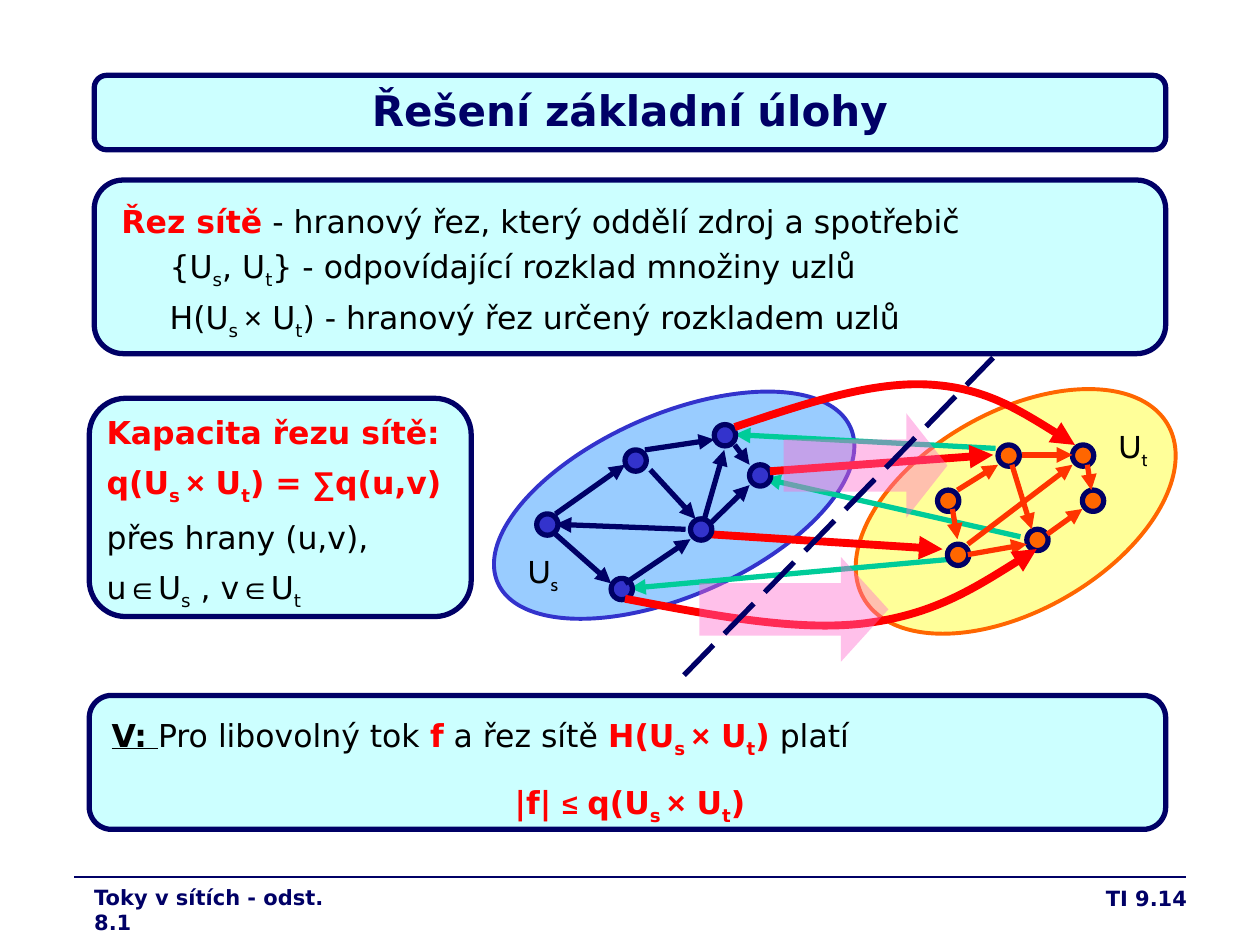
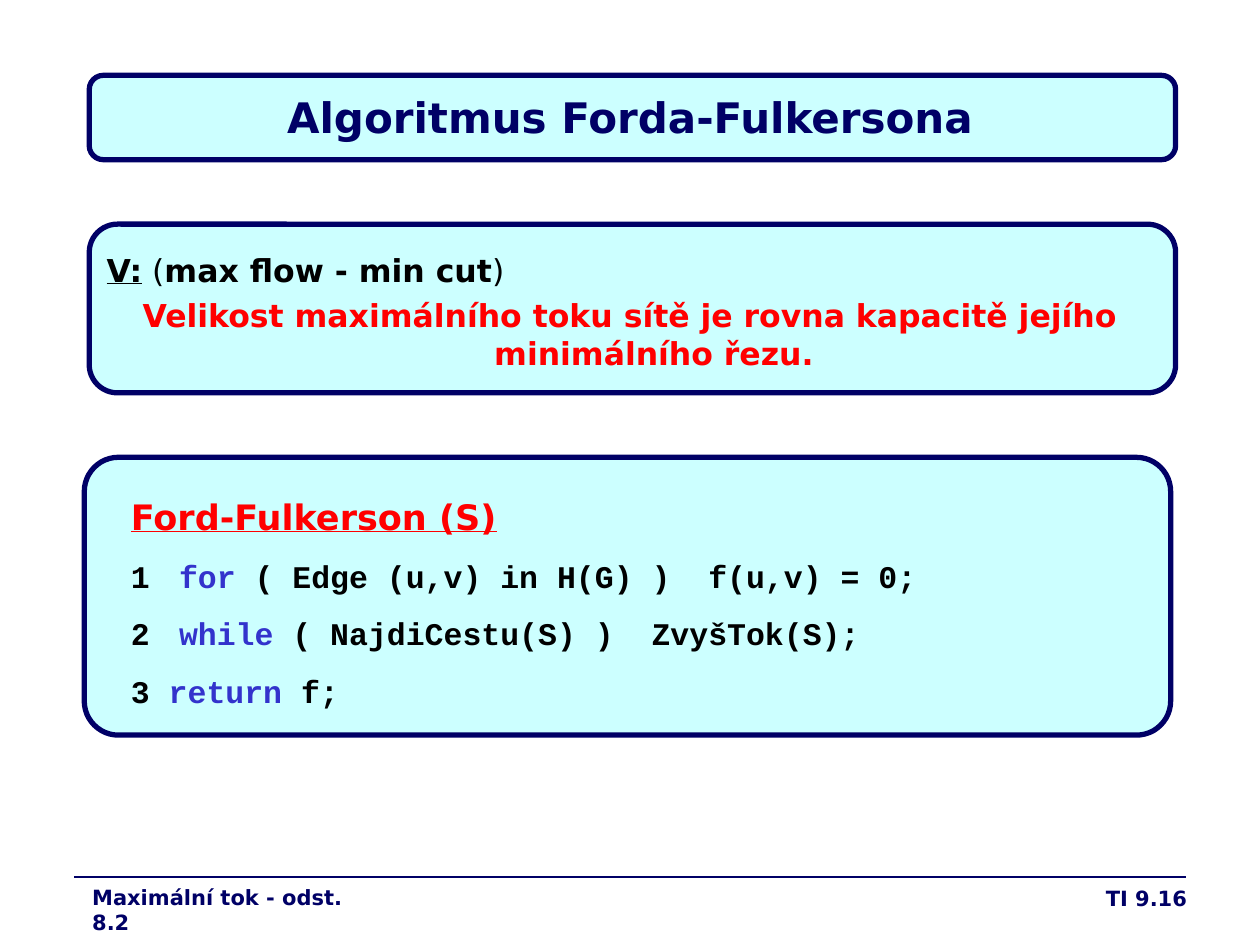
from itertools import groupby

from lxml.etree import SubElement
from pptx import Presentation
from pptx.dml.color import RGBColor
from pptx.enum.dml import MSO_LINE
from pptx.enum.shapes import MSO_CONNECTOR, MSO_SHAPE
from pptx.enum.text import MSO_ANCHOR, PP_ALIGN
from pptx.oxml.ns import qn
from pptx.util import Cm, Pt

# Shared look
NAVY, BLUE, SKY, AQUA = "000066", "3333CC", "99CCFF", "CCFFFF"
RED, ORANGE, VERMILION, YELLOW = "FF0000", "FF6600", "FF3300", "FFFF99"
GREEN, PINK, BLACK = "00CC99", "FF66CC", "000000"
FONT, CODE_FONT, LABEL_FONT, SYMBOL_FONT = "DejaVu Sans", "Courier New", "Cabin", "Arial"
SYMBOLS = "×∑∈≤"
HANG = 0.97
NODE_SIZE = 0.43

# Flow network, in centimetres: nodes by top left corner, edges by both ends
SOURCE_NODES = [(15.11, 9.37), (12.32, 11.66), (10.82, 10.36),
                (12.6, 9.07), (14.4, 8.56), (13.92, 10.46)]
SINK_NODES = [(19.1, 10.97), (20.7, 10.67), (18.9, 9.88),
              (21.82, 9.88), (20.12, 8.97), (21.62, 8.97)]
FORWARD_EDGES = [(14.3, 10.77, 19, 11.07), (15.52, 9.5, 20.02, 9.17)]
BACKWARD_EDGES = [(20.07, 9.04, 14.81, 8.76), (20.57, 10.82, 15.42, 9.65),
                  (19.1, 11.28, 12.7, 11.86)]
SOURCE_EDGES = [(11.2, 10.77, 12.32, 11.76), (13.82, 10.67, 11.2, 10.57),
                (11.2, 10.36, 12.6, 9.37), (13.11, 9.47, 14.02, 10.46),
                (13, 9.07, 14.4, 8.86), (14.2, 10.46, 14.6, 9.07),
                (12.6, 11.76, 13.92, 10.87), (14.3, 10.57, 15.11, 9.78),
                (14.81, 8.97, 15.11, 9.37)]
SINK_EDGES = [(19.2, 10.26, 19.3, 10.87), (19.3, 9.88, 20.12, 9.37),
              (20.4, 9.37, 20.8, 10.67), (19.51, 11.18, 20.7, 10.97),
              (20.6, 9.17, 21.62, 9.17), (21.11, 10.77, 21.82, 10.26),
              (21.92, 9.37, 22, 9.88), (19.51, 10.97, 21.62, 9.37)]
LOWER_CURVE = [(12.6, 12.07), (14.33, 12.4), (16.03, 12.73), (17.4, 12.57),
               (18.8, 12.4), (19.86, 11.73), (20.9, 11.07)]
UPPER_CURVE = [(14.81, 8.61), (16.18, 8.15), (17.53, 7.7), (18.67, 7.75),
               (19.81, 7.8), (20.75, 8.38), (21.67, 8.97)]


def color(code):
    return RGBColor.from_string(code)


# Text
def add_text(para, text, size=18, font=FONT, ink=BLACK, bold=False, underline=False):
    """Add spans; parts between tildes are subscripts, symbols get their own font."""
    for index, part in enumerate(text.split("~")):
        for is_symbol, letters in groupby(part, lambda letter: letter in SYMBOLS):
            span = para.add_run()
            span.text = "".join(letters)
            span.font.size = Pt(size)
            span.font.name = SYMBOL_FONT if is_symbol else font
            span.font.color.rgb = color(ink)
            span.font.bold = bold
            span.font.underline = underline
            if index % 2:
                span._r.get_or_add_rPr().set("baseline", "-25000")


def add_para(frame, *parts, align=PP_ALIGN.LEFT, before=4.5, spacing=1.0,
             indent=0, first=0):
    """Add a paragraph made of (text, format) parts."""
    is_first = not frame.paragraphs[0].runs
    para = frame.paragraphs[0] if is_first else frame.add_paragraph()
    para.alignment = align
    para.line_spacing = spacing
    para.space_before = Pt(0 if is_first else before)
    props = para._p.get_or_add_pPr()
    props.set("marL", str(Cm(indent)))
    props.set("indent", str(Cm(first)))
    for text, style in parts:
        add_text(para, text, **style)


def add_box(page, left, top, width, height, wrap=True, anchor=MSO_ANCHOR.TOP):
    frame = page.shapes.add_textbox(Cm(left), Cm(top), Cm(width), Cm(height)).text_frame
    frame.word_wrap = wrap
    frame.vertical_anchor = anchor
    return frame


# Shapes and lines
def add_figure(page, kind, left, top, width, height, fill, line=NAVY, weight=3):
    shape = page.shapes.add_shape(kind, Cm(left), Cm(top), Cm(width), Cm(height))
    shape.shadow.inherit = False
    shape.fill.solid()
    shape.fill.fore_color.rgb = color(fill)
    if line:
        shape.line.color.rgb = color(line)
        shape.line.width = Pt(weight)
    else:
        shape.line.fill.background()
    return shape


def add_card(page, left, top, width, height, corner=0.167):
    card = add_figure(page, MSO_SHAPE.ROUNDED_RECTANGLE, left, top, width, height, AQUA)
    card.adjustments[0] = corner


def add_node_set(page, left, top, width, height, turn, fill, line):
    add_figure(page, MSO_SHAPE.OVAL, left, top, width, height, fill, line, 2.25).rotation = turn


def add_nodes(page, nodes, fill):
    for left, top in nodes:
        add_figure(page, MSO_SHAPE.OVAL, left, top, NODE_SIZE, NODE_SIZE, fill)


def add_cut_arrow(page, left, top, width, height, head):
    arrow = add_figure(page, MSO_SHAPE.RIGHT_ARROW, left, top, width, height, PINK, None)
    arrow.adjustments[1] = head
    tint = arrow.element.spPr.find(qn("a:solidFill"))[0]
    SubElement(tint, qn("a:alpha"), val="41000")


def add_head(shape):
    outline = shape.line._get_or_add_ln()
    SubElement(outline, qn("a:tailEnd"), type="triangle")


def add_line(page, ends, ink=NAVY, weight=3.0):
    line = page.shapes.add_connector(MSO_CONNECTOR.STRAIGHT, *map(Cm, ends))
    line.line.color.rgb = color(ink)
    line.line.width = Pt(weight)
    SubElement(line.element.spPr, qn("a:effectLst"))
    return line


def add_edges(page, edges, ink, weight=3.0):
    for ends in edges:
        add_head(add_line(page, ends, ink, weight))


def add_curve(page, points):
    """Draw Bézier segments: a start point, then three points for each segment."""
    start, *rest = [(Cm(x), Cm(y)) for x, y in points]
    builder = page.shapes.build_freeform(*start)
    builder.add_line_segments(rest, close=False)
    curve = builder.convert_to_shape()
    outline = next(curve.element.iter(qn("a:path")))
    steps = outline.findall(qn("a:lnTo"))
    for index in range(0, len(steps), 3):
        segment = SubElement(outline, qn("a:cubicBezTo"))
        for step in steps[index:index + 3]:
            segment.append(step[0])
            outline.remove(step)
    curve.shadow.inherit = False
    curve.fill.background()
    curve.line.color.rgb = color(RED)
    curve.line.width = Pt(4.5)
    add_head(curve)


# Parts found on every slide
def add_page(deck, section, section_left, section_width, number):
    page = deck.slides.add_slide(deck.slide_layouts[6])
    add_line(page, (1.5, 17.68, 23.9, 17.68), weight=0.75)
    style = dict(size=12, ink=NAVY, bold=True)
    add_para(add_box(page, 18.9, 17.73, 5.28, 0.91), (number, style), align=PP_ALIGN.RIGHT)
    add_para(add_box(page, section_left, 17.7, section_width, 0.76), (section, style))
    return page


def add_title(page, text, left, width, height, text_height):
    add_card(page, left, 1.52, width, height)
    frame = add_box(page, 1.9, 1.7, 21.6, text_height, anchor=MSO_ANCHOR.MIDDLE)
    add_para(frame, (text, dict(size=24, ink=NAVY, bold=True)), align=PP_ALIGN.CENTER)


def add_network(page):
    add_node_set(page, 18.47, 6.78, 4.01, 7.06, 60.4, YELLOW, ORANGE)
    add_node_set(page, 11.76, 6.3, 3.66, 7.77, 66.3, SKY, BLUE)
    add_edges(page, FORWARD_EDGES[:1], RED, 4.5)
    add_edges(page, BACKWARD_EDGES, GREEN)
    add_nodes(page, SOURCE_NODES, BLUE)
    add_nodes(page, SINK_NODES, ORANGE)
    for text, left, top in [("U~s~", 10.39, 11), ("U~t~", 22.3, 8.48)]:
        add_para(add_box(page, left, top, 1.12, 1.12, wrap=False),
                 (text, dict(font=LABEL_FONT)))
    add_edges(page, SOURCE_EDGES, NAVY)
    add_edges(page, SINK_EDGES, VERMILION)
    add_edges(page, FORWARD_EDGES[1:], RED, 4.5)
    add_curve(page, LOWER_CURVE)
    add_curve(page, UPPER_CURVE)
    add_cut_arrow(page, 14.1, 11.23, 3.81, 2.11, 0.453)
    add_cut_arrow(page, 15.8, 8.33, 3.3, 2.11, 0.393)
    cut = add_line(page, (13.79, 13.61, 20.02, 7.21))
    cut.line.dash_style = MSO_LINE.LONG_DASH


def build_cut_slide(deck):
    page = add_page(deck, "Toky v sítích - odst. 8.1", 1.65, 5.23, "TI 9.14")
    plain, strong = {}, dict(ink=RED, bold=True)
    add_card(page, 1.8, 14.02, 21.7, 2.7)
    add_card(page, 1.8, 8.03, 7.7, 4.4)
    add_card(page, 1.9, 3.63, 21.6, 3.5)
    add_title(page, "Řešení základní úlohy", 1.9, 21.6, 1.5, 1.04)

    # Definition of the cut
    frame = add_box(page, 2.2, 3.94, 21.08, 3.1)
    add_para(frame, ("Řez sítě", strong),
             (" - hranový řez, který oddělí zdroj a spotřebič", plain))
    for text in ("{U~s~, U~t~} - odpovídající rozklad množiny uzlů",
                 "H(U~s ~× U~t~) - hranový řez určený rozkladem uzlů"):
        add_para(frame, (text, plain), indent=HANG)

    # Theorem
    frame = add_box(page, 2, 14.22, 21.4, 2.5)
    add_para(frame, ("V: ", dict(bold=True, underline=True)),
             ("Pro libovolný tok ", plain), ("f", strong), (" a řez sítě ", plain),
             ("H(U~s ~× U~t~)", strong), (" platí", plain), spacing=1.1)
    add_para(frame, ("|f| ", strong), ("≤ ", dict(strong, size=16)),
             ("q(U~s ~× U~t~)", strong), align=PP_ALIGN.CENTER, before=11.2, spacing=1.1)

    # Capacity of the cut
    frame = add_box(page, 1.9, 8.13, 9.8, 4)
    for text, style in [("Kapacita řezu sítě:", strong),
                        ("q(U~s ~× U~t~) = ∑q(u,v)", strong),
                        ("přes hrany (u,v),", plain),
                        ("u∈U~s~ , v∈U~t~", plain)]:
        add_para(frame, (text, style), spacing=1.1)

    add_network(page)


def build_algorithm_slide(deck):
    page = add_page(deck, "Maximální tok - odst. 8.2", 1.61, 5.66, "TI 9.16")
    add_card(page, 1.7, 9.22, 21.9, 5.6, corner=0.123)
    add_card(page, 1.8, 4.52, 21.9, 3.4)
    add_title(page, "Algoritmus Forda-Fulkersona", 1.8, 21.9, 1.7, 1.32)

    # Theorem
    frame = add_box(page, 1.9, 4.93, 21.6, 2.8)
    add_para(frame, ("V:", dict(bold=True, underline=True)), (" (", {}),
             ("max flow - min cut", dict(bold=True)), (")", {}))
    add_para(frame, ("Velikost maximálního toku sítě je rovna kapacitě jejího "
                     "minimálního řezu.", dict(ink=RED, bold=True)),
             align=PP_ALIGN.CENTER, indent=HANG, first=-HANG)

    # Algorithm
    frame = add_box(page, 2.39, 9.52, 20.88, 5.1)
    add_para(frame, ("Ford-Fulkerson (S)",
                     dict(size=20, ink=RED, bold=True, underline=True)), spacing=1.4)
    code = dict(font=CODE_FONT, bold=True)
    for number, keyword, rest in [
            ("1\t", "for", " ( Edge (u,v) in H(G) )  f(u,v) = 0;"),
            ("2\t", "while", " ( NajdiCestu(S) )  ZvyšTok(S);"),
            ("3 ", "return", " f;")]:
        add_para(frame, (number, code), (keyword, dict(code, ink=BLUE)), (rest, code),
                 before=11.2, indent=HANG, first=-HANG)


def main():
    deck = Presentation()
    deck.slide_width, deck.slide_height = Cm(25.4), Cm(19.05)
    build_cut_slide(deck)
    build_algorithm_slide(deck)
    deck.save("out.pptx")


if __name__ == "__main__":
    main()
